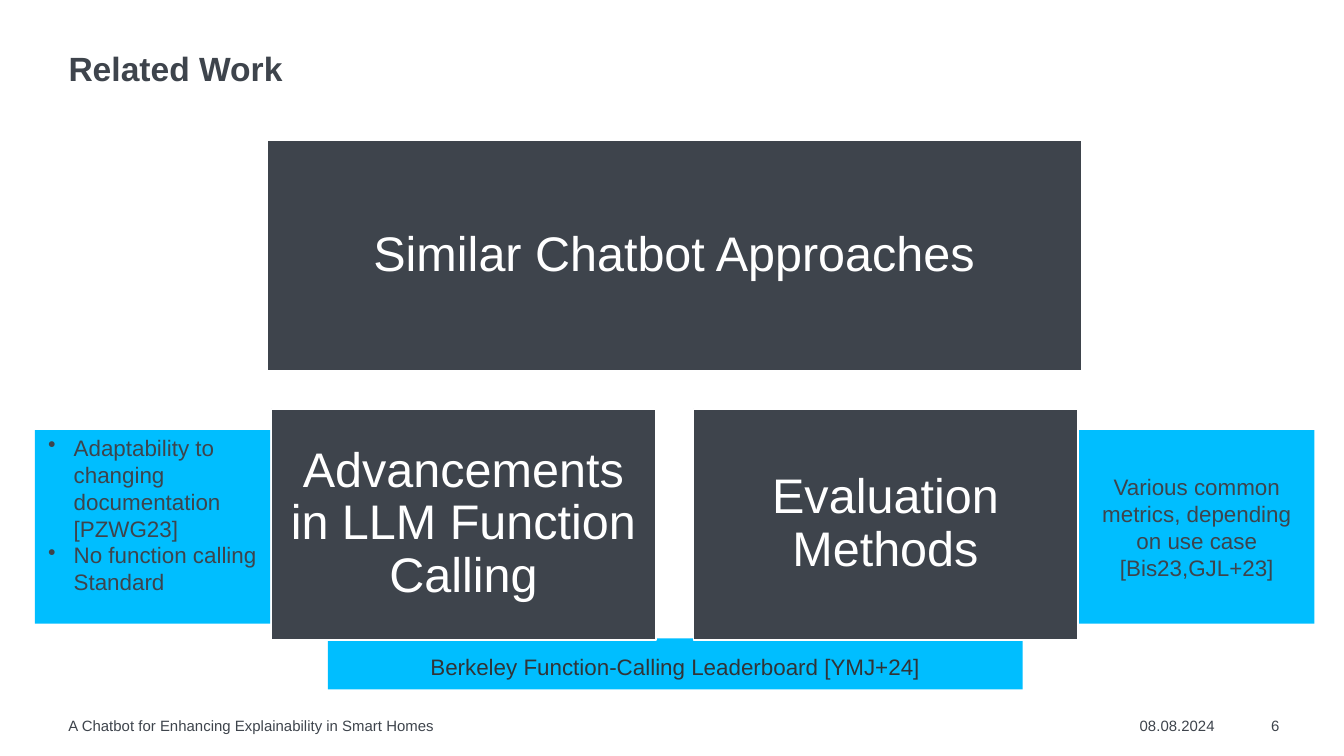
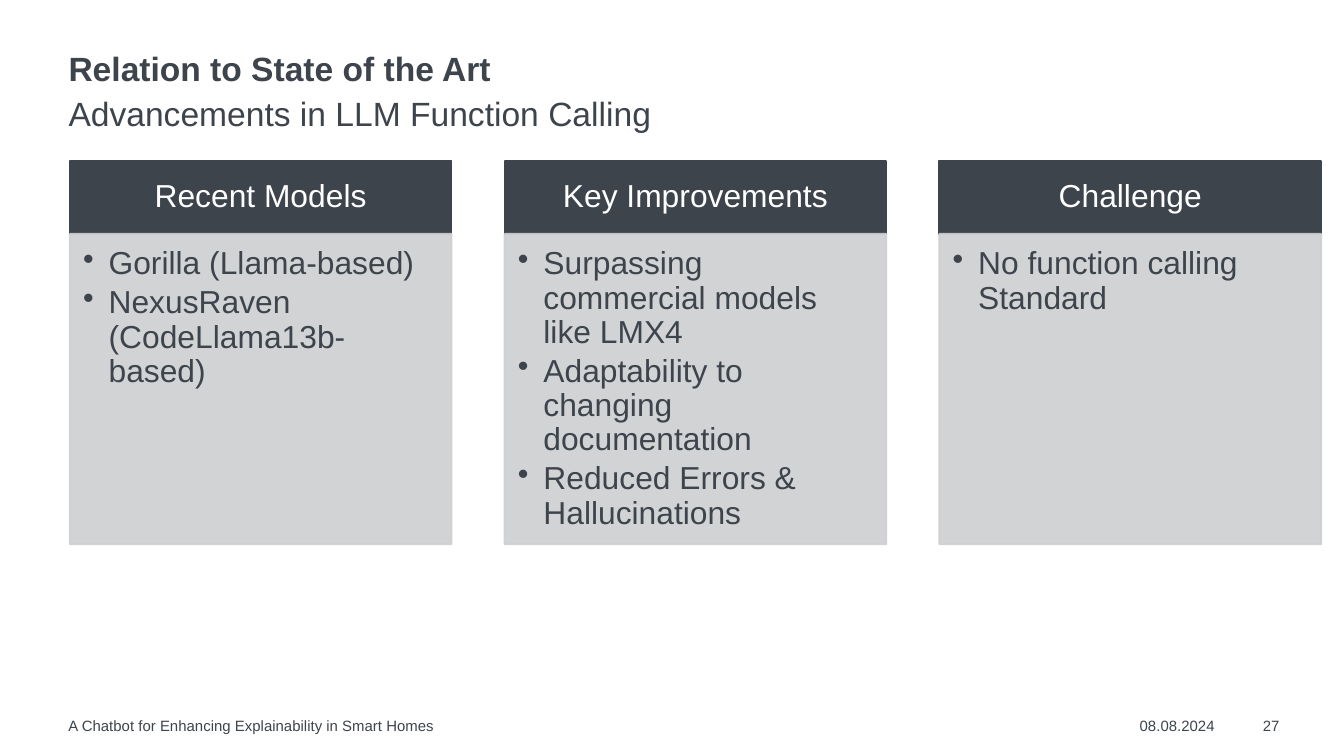
from lxml import etree
from pptx import Presentation
from pptx import util as u
from pptx.dml.color import RGBColor
from pptx.enum import shapes, text
from pptx.oxml.ns import qn

# The slide is a grid of square cells: 100 columns by 56.25 rows.
CELL = u.Inches(0.1)
COLUMNS, ROWS = 100, 56.25
FONT = "Arial"
SLATE, CYAN, GREY, WHITE, INK = "3E444C", "00BEFF", "CECFD0", "FFFFFF", "313437"
LEFT = text.PP_ALIGN.LEFT
CENTER = text.PP_ALIGN.CENTER
RIGHT = text.PP_ALIGN.RIGHT
TOP = text.MSO_ANCHOR.TOP
MIDDLE = text.MSO_ANCHOR.MIDDLE

MARGIN = 5.1
TITLE_AREA = (MARGIN, 3.9, 90.2, 4.7)
SUBTITLE_AREA = (MARGIN, 6.3, 90.2, 3)
FOOTER_TOP, FOOTER_HEIGHT = 53.3, 1.3
TALK = "A Chatbot for Enhancing Explainability in Smart Homes"
DATE = "08.08.2024"


def cells(*lengths):
    return [round(length * CELL) for length in lengths]


def rgb(colour):
    return RGBColor.from_string(colour)


def set_opacity(fill_owner, percent):
    """Make every solid colour below an XML element partly transparent."""
    for colour in fill_owner.iter(qn("a:srgbClr")):
        etree.SubElement(colour, qn("a:alpha")).set("val", str(percent * 1000))


def set_bullet(paragraph, char=None):
    """Hang the paragraph on a bullet, or remove the inherited one."""
    props = paragraph._p.get_or_add_pPr()
    indent = u.Inches(0.19) if char else 0
    props.set("marL", str(indent))
    props.set("indent", str(-indent))
    if char:
        etree.SubElement(props, qn("a:buChar")).set("char", char)
    else:
        etree.SubElement(props, qn("a:buNone"))


def write(shape, lines, size, colour=SLATE, bold=False, align=LEFT, anchor=TOP,
          insets=(0, 0, 0, 0), spacing=1.0, after=0, bullet=None):
    """Fill a shape with paragraphs; insets are left, top, right, bottom in cells."""
    frame = shape.text_frame
    frame.word_wrap = True
    frame.auto_size = text.MSO_AUTO_SIZE.NONE
    frame.vertical_anchor = anchor
    for side, inset in zip(("left", "top", "right", "bottom"), cells(*insets)):
        setattr(frame, f"margin_{side}", inset)
    for number, line in enumerate(lines):
        paragraph = frame.add_paragraph() if number else frame.paragraphs[0]
        set_bullet(paragraph, bullet)
        paragraph.text = line
        layout = {"alignment": align, "line_spacing": spacing,
                  "space_before": u.Pt(0), "space_after": u.Pt(after)}
        for name, value in layout.items():
            setattr(paragraph, name, value)
        for run in paragraph.runs:
            look = {"name": FONT, "size": u.Pt(size), "bold": bold}
            for name, value in look.items():
                setattr(run.font, name, value)
            run.font.color.rgb = rgb(colour)


def add_box(slide, area, fill, lines, size, line=None, opacity=None, **style):
    box = slide.shapes.add_shape(shapes.MSO_SHAPE.RECTANGLE, *cells(*area))
    box.shadow.inherit = False
    box.fill.solid()
    box.fill.fore_color.rgb = rgb(fill)
    if line:
        box.line.color.rgb = rgb(line)
        box.line.width = u.Pt(1)
    else:
        box.line.fill.background()
    if opacity:
        set_opacity(box._element.spPr, opacity)
    write(box, lines, size, **style)


def place(placeholder, area, line, **style):
    left, top, width, height = cells(*area)
    placeholder.left, placeholder.top = left, top
    placeholder.width, placeholder.height = width, height
    write(placeholder, [line], 18, **style)


def add_footer(slide, number):
    parts = [(MARGIN, 66.3, TALK, LEFT), (84.8, 5.8, DATE, LEFT),
             (92.8, 2.4, str(number), RIGHT)]
    for left, width, words, align in parts:
        area = cells(left, FOOTER_TOP, width, FOOTER_HEIGHT)
        write(slide.shapes.add_textbox(*area), [words], 8, align=align)


def add_slide(deck, number, title, subtitle=None):
    slide = deck.slides.add_slide(deck.slide_layouts[1 if subtitle else 5])
    place(slide.shapes.title, TITLE_AREA, title, bold=True, spacing=0.9)
    if subtitle:
        place(slide.placeholders[1], SUBTITLE_AREA, subtitle, spacing=1.2)
    add_footer(slide, number)
    return slide


def add_topic(slide, area, name):
    add_box(slide, area, SLATE, [name], 26, line=WHITE, colour=WHITE, align=CENTER,
            anchor=MIDDLE, insets=(1.1,) * 4, spacing=0.9)


def add_finding(slide, area, lines, **style):
    options = {"align": CENTER, "anchor": MIDDLE, "insets": (1, 0.5, 1, 0.5)}
    add_box(slide, area, CYAN, lines, 12, **{**options, **style})


def add_card(slide, left, heading, points):
    """A dark heading above a grey list."""
    top, width, heading_height, list_height = 12, 28.4, 5.4, 23.1
    add_box(slide, (left, top, width, heading_height), SLATE, [heading], 17,
            line=SLATE, colour=WHITE, align=CENTER, anchor=MIDDLE,
            insets=(1.3, 0.8, 1.3, 0.8), spacing=0.9)
    add_box(slide, (left, top + heading_height, width, list_height), GREY, points, 17,
            line=GREY, opacity=90, insets=(1, 1, 1.3, 1.5), spacing=0.9,
            after=2.55, bullet="•")


def related_work(deck):
    slide = add_slide(deck, 6, "Related Work")
    add_finding(slide, (24.4, 47.5, 51.7, 3.8),
                ["Berkeley Function-Calling Leaderboard [YMJ+24]"],
                colour=INK, spacing=1.2)
    add_topic(slide, (19.9, 10.4, 60.6, 17.2), "Similar Chatbot Approaches")
    topics = ["Advancements in LLM Function Calling", "Evaluation Methods"]
    for column, name in enumerate(topics):
        add_topic(slide, (20.2 + 31.4 * column, 30.4, 28.6, 17.2), name)
    add_finding(slide, (80.3, 32, 17.5, 14.4),
                ["Various common metrics, depending on use case [Bis23,GJL+23]"])
    add_finding(slide, (2.6, 32, 17.5, 14.4),
                ["Adaptability to changing documentation\v[PZWG23]",
                 "No function calling Standard"],
                align=LEFT, anchor=TOP, insets=(1, 0.3, 1, 0), bullet="•")


def state_of_the_art(deck):
    slide = add_slide(deck, 27, "Relation to State of the Art",
                      "Advancements in LLM Function Calling")
    cards = {
        "Recent Models": ["Gorilla (Llama-based)", "NexusRaven (CodeLlama13b-based)"],
        "Key Improvements": ["Surpassing commercial models like LMX4",
                             "Adaptability to changing documentation",
                             "Reduced Errors & Hallucinations"],
        "Challenge": ["No function calling Standard"],
    }
    for column, (heading, points) in enumerate(cards.items()):
        add_card(slide, 5.2 + 32.35 * column, heading, points)


def main():
    deck = Presentation()
    deck.slide_width, deck.slide_height = cells(COLUMNS, ROWS)
    related_work(deck)
    state_of_the_art(deck)
    deck.save("out.pptx")


if __name__ == "__main__":
    main()
